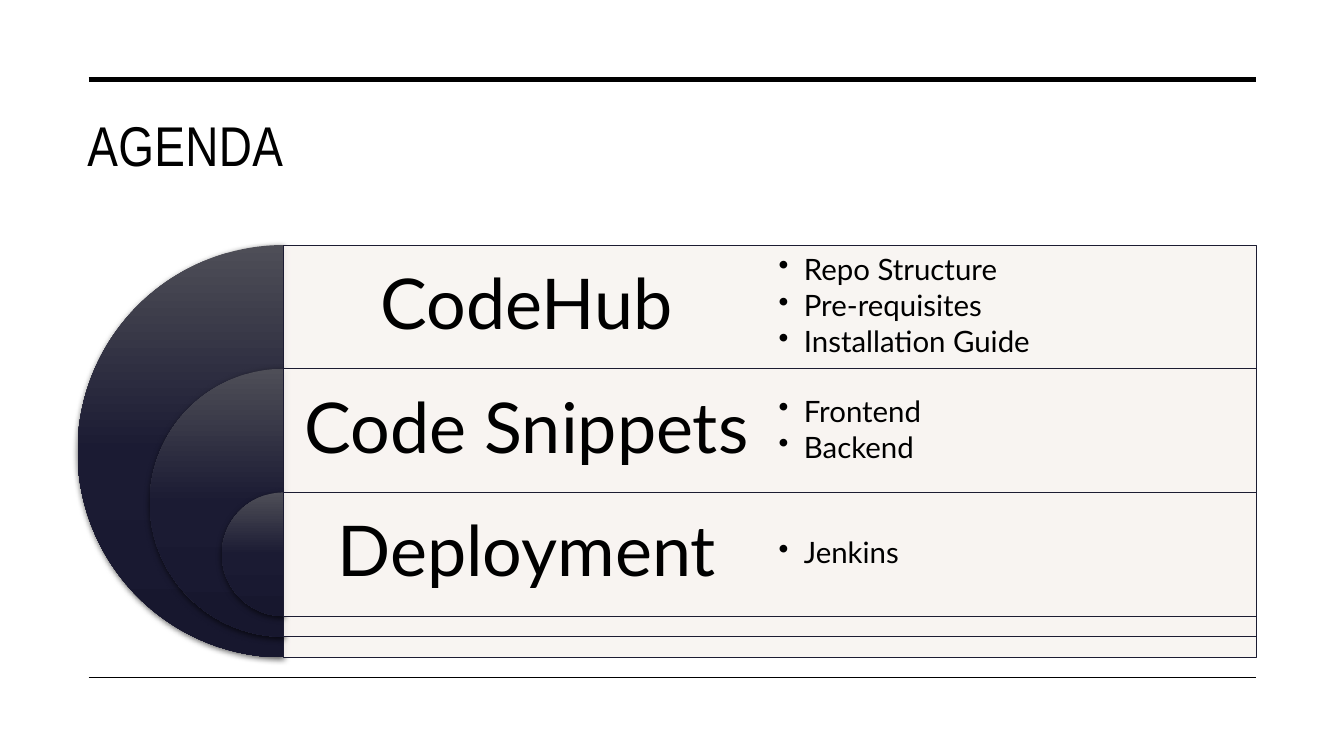
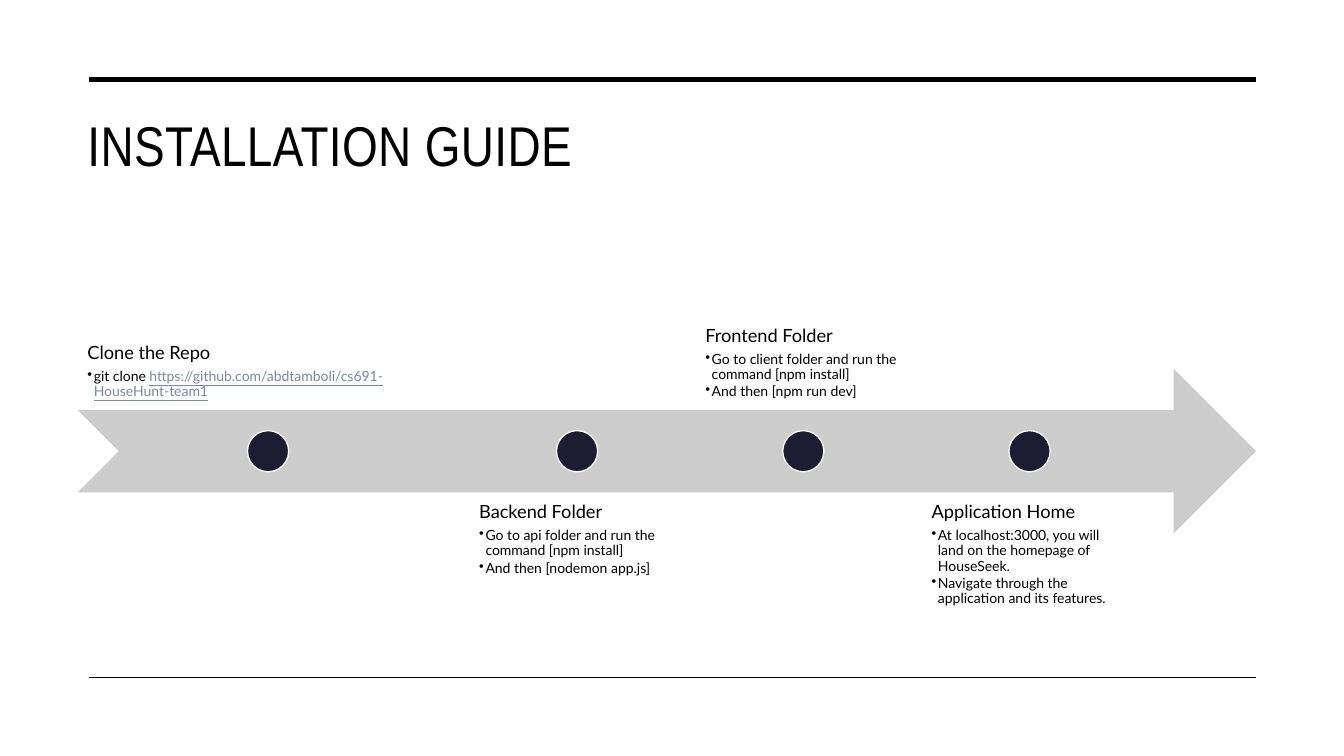
import copy

import lxml.etree
import pptx
import pptx.dml.color
import pptx.enum.shapes
import pptx.enum.text
import pptx.oxml.ns
import pptx.util

Pt = pptx.util.Pt
SHAPES = pptx.enum.shapes.MSO_SHAPE
ANCHORS = pptx.enum.text.MSO_ANCHOR
ALIGN = pptx.enum.text.PP_ALIGN

# Content
AGENDA = [
    ("CodeHub", ["Repo Structure", "Pre-requisites", "Installation Guide"]),
    ("Code Snippets", ["Frontend", "Backend"]),
    ("Deployment", ["Jenkins"]),
]
REPO_LINK = "https://github.com/abdtamboli/cs691-HouseHunt-team1"
STEPS = [  # heading, bullets, column width
    ("Clone the Repo", ["git clone " + REPO_LINK], 272.2),
    ("Backend Folder", ["Go to api folder and run the command [npm install]",
                        "And then [nodemon app.js]"], 154),
    ("Frontend Folder", ["Go to client folder and run the command [npm install]",
                         "And then [npm run dev]"], 154),
    ("Application Home", ["At localhost:3000, you will land on the homepage of HouseSeek.",
                          "Navigate through the application and its features."], 154),
]

# Shared look
BLACK, NAVY, CREAM, GREY, LINK = "000000", "1C1C32", "F8F4F1", "CDCDCE", "778BA2"
GRADIENT = [(0, "4E4E57"), (0.5, "1B1B33"), (1, "17172E")]
TITLE_FONT, BODY_FONT = "Arial Narrow", "Lato"
RULES = [(56.9, 3.5), (483.8, 1)]  # height on the page, line width
RULE_LEFT, RIGHT = 63.4, 897.2

# Area of both diagrams
LEFT, TOP, HEIGHT = 55.4, 175, 294.6
WIDTH = RIGHT - LEFT


def color(hex_code):
    return pptx.dml.color.RGBColor.from_string(hex_code)


def add_xml(parent, tag, **values):
    child = lxml.etree.SubElement(parent, pptx.oxml.ns.qn(tag))
    for name, value in values.items():
        child.set(name, str(value))
    return child


def add_span(para, text, size, hex_code=BLACK, **formats):
    span = para.add_run()
    span.text = text
    for name, value in {"name": BODY_FONT, "size": Pt(size), **formats}.items():
        setattr(span.font, name, value)
    span.font.color.rgb = color(hex_code)
    return span


def add_box(page, left, top, width, height, inset, anchor):
    box = page.shapes.add_textbox(Pt(left), Pt(top), Pt(width), Pt(height))
    frame = box.text_frame
    for name, value in {"word_wrap": True, "vertical_anchor": anchor}.items():
        setattr(frame, name, value)
    for side in ("left", "top", "right", "bottom"):
        setattr(frame, "margin_" + side, Pt(inset))
    return frame


def next_para(frame, size, after, align=ALIGN.LEFT, indent=0):
    first = frame.paragraphs[0]
    para = frame.add_paragraph() if first.runs else first
    if indent:
        properties = para._p.get_or_add_pPr()
        properties.set("marL", str(Pt(indent)))
        properties.set("indent", str(-Pt(indent)))
        add_xml(properties, "a:buChar", char="•")
    formats = {"line_spacing": 0.9, "space_after": Pt(size * after), "alignment": align}
    for name, value in formats.items():
        setattr(para, name, value)
    return para


def add_bullets(frame, lines, size, indent):
    for line in lines:
        para = next_para(frame, size, 0.15, indent=indent)
        before, link, _ = line.partition(REPO_LINK)
        add_span(para, before, size)
        if link:
            add_span(para, link, size, LINK, underline=True)


def add_shape(page, kind, left, top, width, height, fill=None, line=None, line_width=0):
    shape = page.shapes.add_shape(kind, Pt(left), Pt(top), Pt(width), Pt(height))
    shape.shadow.inherit = False
    if fill:
        shape.fill.solid()
        shape.fill.fore_color.rgb = color(fill)
    if line:
        shape.line.color.rgb = color(line)
        shape.line.width = Pt(line_width)
    else:
        shape.line.fill.background()
    return shape


def add_half_disc(page, left, top, size):
    disc = add_shape(page, SHAPES.PIE, left, top, size, size)
    disc.adjustments[0], disc.adjustments[1] = 54, 162
    disc.fill.gradient()
    disc.fill.gradient_angle = 270
    stops = disc._element.spPr.find(".//" + pptx.oxml.ns.qn("a:gsLst"))
    stops.insert(1, copy.deepcopy(stops[0]))
    for stop, (position, hex_code) in zip(disc.fill.gradient_stops, GRADIENT):
        stop.position = position
        stop.color.rgb = color(hex_code)
    effects = disc._element.spPr.find(pptx.oxml.ns.qn("a:effectLst"))
    shadow = add_xml(effects, "a:outerShdw", blurRad=Pt(4.5), dist=Pt(1.5),
                     dir=5400000, rotWithShape=0)
    add_xml(add_xml(shadow, "a:srgbClr", val=BLACK), "a:alpha", val=63000)


def add_page(deck, title):
    page = deck.slides.add_slide(deck.slide_layouts[6])
    for height, line_width in RULES:
        rule = page.shapes.add_connector(pptx.enum.shapes.MSO_CONNECTOR.STRAIGHT,
                                         Pt(RULE_LEFT), Pt(height), Pt(RIGHT), Pt(height))
        rule.line.color.rgb = color(BLACK)
        rule.line.width = Pt(line_width)
        add_xml(rule._element.spPr, "a:effectLst")
    frame = add_box(page, LEFT, 72, WIDTH, 103, 7.2, ANCHORS.TOP)
    span = add_span(frame.paragraphs[0], title, 40, name=TITLE_FONT)
    span._r.get_or_add_rPr().set("spc", "30")
    return page


def build_agenda(deck):
    page = add_page(deck, "AGENDA")
    row = HEIGHT * 0.3
    middle = LEFT + HEIGHT / 2
    half = (RIGHT - middle) / 2
    # Nested half discs, panels and topics
    for index, (topic, _) in enumerate(AGENDA):
        top = TOP + index * row
        size = HEIGHT * (1 - 0.35 * index)
        add_half_disc(page, middle - size / 2, top, size)
        panel = add_shape(page, SHAPES.RECTANGLE, middle, top, 2 * half, size,
                          CREAM, NAVY, 0.5)
        tint = panel._element.spPr.find(".//" + pptx.oxml.ns.qn("a:srgbClr"))
        add_xml(tint, "a:alpha", val=90000)
        frame = add_box(page, middle, top, half, row, 15, ANCHORS.MIDDLE)
        add_span(next_para(frame, 50, 0.35, ALIGN.CENTER), topic, 50)
    # Details beside each topic
    for index, (_, details) in enumerate(AGENDA):
        frame = add_box(page, middle + half, TOP + index * row, half, row, 6.3, ANCHORS.MIDDLE)
        add_bullets(frame, details, 21, 18)


def build_installation(deck):
    page = add_page(deck, "INSTALLATION GUIDE")
    band = HEIGHT * 0.4
    dot = band / 4
    gap = 7.6
    add_shape(page, SHAPES.NOTCHED_RIGHT_ARROW, LEFT, TOP + HEIGHT * 0.3, WIDTH, band, GREY)
    # Steps alternate above and below the arrow
    left = LEFT
    for index, (heading, lines, width) in enumerate(STEPS):
        below = index % 2
        top = TOP + below * (HEIGHT - band)
        frame = add_box(page, left, top, width, band, 7.2,
                        ANCHORS.TOP if below else ANCHORS.BOTTOM)
        add_span(next_para(frame, 13, 0.35), heading, 13)
        add_bullets(frame, lines, 10, 4.5)
        add_shape(page, SHAPES.OVAL, left + (width - dot) / 2, TOP + (HEIGHT - dot) / 2,
                  dot, dot, NAVY, CREAM, 1)
        left += width + gap


def main():
    deck = pptx.Presentation()
    deck.slide_width, deck.slide_height = Pt(960), Pt(540)
    build_agenda(deck)
    build_installation(deck)
    deck.save("out.pptx")


if __name__ == "__main__":
    main()
